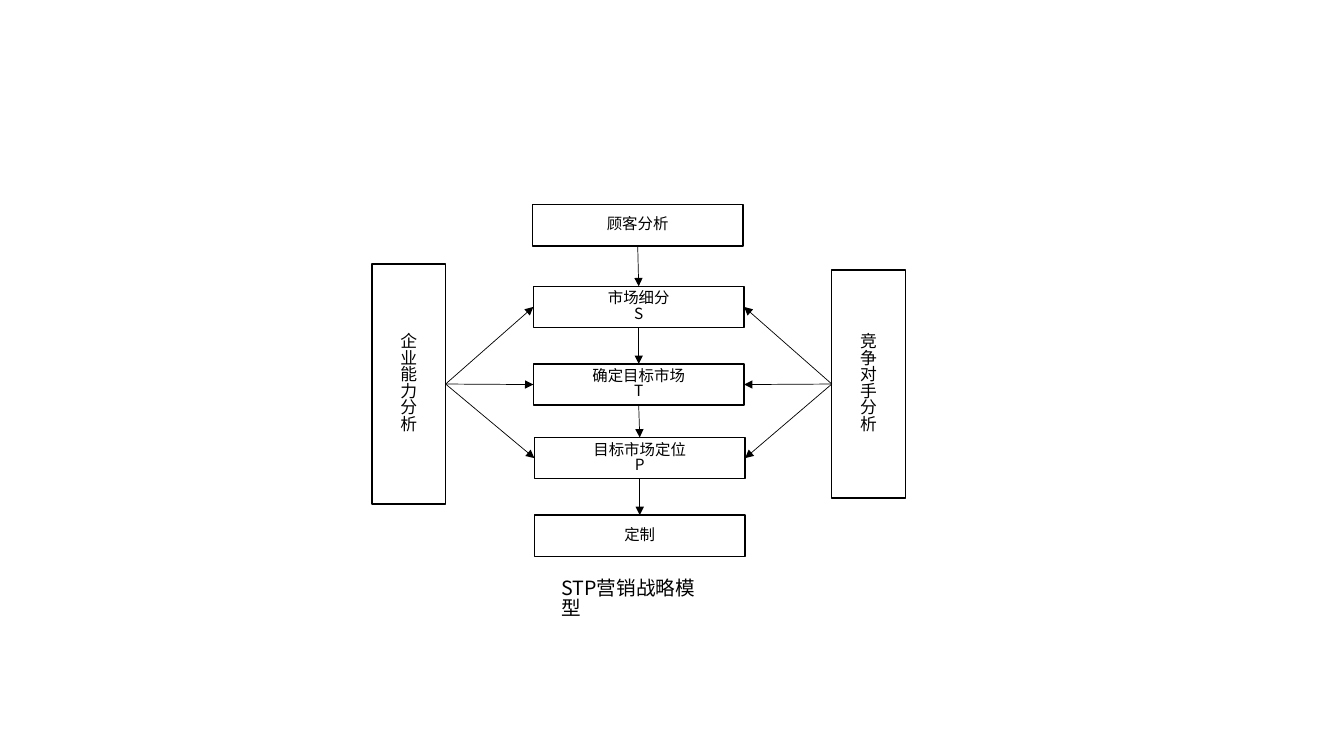
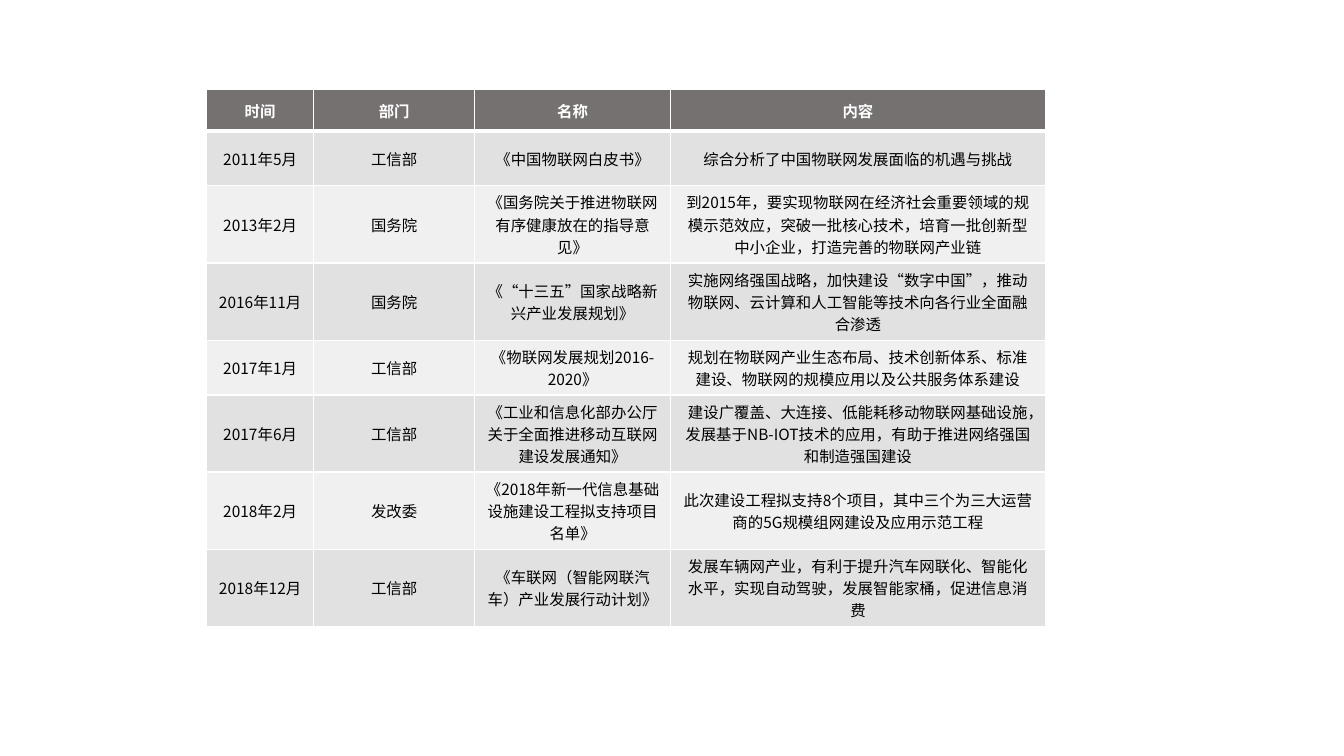
from dataclasses import dataclass

from lxml import etree
from pptx import Presentation
from pptx.dml.color import RGBColor
from pptx.enum.shapes import MSO_CONNECTOR, MSO_SHAPE
from pptx.enum.text import MSO_ANCHOR, PP_ALIGN
from pptx.oxml.ns import qn
from pptx.util import Inches, Pt

BLACK = RGBColor(0x00, 0x00, 0x00)
WHITE = RGBColor(0xFF, 0xFF, 0xFF)
HEADER_GREY = RGBColor(0x76, 0x71, 0x71)
BAND_DARK = RGBColor(0xE1, 0xE1, 0xE1)
BAND_LIGHT = RGBColor(0xF0, 0xF0, 0xF0)

FONT = "Noto Sans CJK SC"
TIGHT = 0.82
BLANK_LAYOUT = 6

RECTANGLE = MSO_SHAPE.RECTANGLE
STRAIGHT = MSO_CONNECTOR.STRAIGHT
CENTER = PP_ALIGN.CENTER
LEFT = PP_ALIGN.LEFT
MIDDLE = MSO_ANCHOR.MIDDLE

TOP_SITE, LEFT_SITE, BOTTOM_SITE, RIGHT_SITE = range(4)


@dataclass(frozen=True)
class Box:
    text: str
    left: float
    top: float
    width: float = 2.09
    height: float = 0.41
    size: float = 11
    inset: float = 0.1


STEPS = [
    Box("顾客分析", 5.28, 2.03),
    Box("市场细分\nS", 5.29, 2.84),
    Box("确定目标市场\nT", 5.29, 3.61),
    Box("目标市场定位\nP", 5.3, 4.34),
    Box("定制", 5.3, 5.11),
]
COMPANY = Box("企业能力分析", 3.69, 2.62, 0.73, 2.38, 12, 0.25)
COMPETITOR = Box("竞争对手分析", 8.25, 2.68, 0.73, 2.26, 12, 0.25)

COLUMN_WIDTHS = [1.06, 1.6, 1.94, 3.72]
ROW_HEIGHT = 0.41
POLICIES = [
    ("时间", "部门", "名称", "内容"),
    ("2011年5月", "工信部", "《中国物联网白皮书》",
     "综合分析了中国物联网发展面临的机遇与挑战"),
    ("2013年2月", "国务院", "《国务院关于推进物联网有序健康放在的指导意见》",
     "到2015年，要实现物联网在经济社会重要领域的规模示范效应，突破一批核心技术，"
     "培育一批创新型中小企业，打造完善的物联网产业链"),
    ("2016年11月", "国务院", "《“十三五”国家战略新兴产业发展规划》",
     "实施网络强国战略，加快建设“数字中国”，推动物联网、云计算和人工智能等技术"
     "向各行业全面融合渗透"),
    ("2017年1月", "工信部", "《物联网发展规划2016-2020》",
     "规划在物联网产业生态布局、技术创新体系、标准建设、物联网的规模应用以及"
     "公共服务体系建设"),
    ("2017年6月", "工信部", "《工业和信息化部办公厅关于全面推进移动互联网建设发展通知》",
     "建设广覆盖、大连接、低能耗移动物联网基础设施，发展基于NB-IOT技术的应用，"
     "有助于推进网络强国和制造强国建设"),
    ("2018年2月", "发改委", "《2018年新一代信息基础设施建设工程拟支持项目名单》",
     "此次建设工程拟支持8个项目，其中三个为三大运营商的5G规模组网建设及应用示范工程"),
    ("2018年12月", "工信部", "《车联网（智能网联汽车）产业发展行动计划》",
     "发展车辆网产业，有利于提升汽车网联化、智能化水平，实现自动驾驶，"
     "发展智能家桶，促进信息消费"),
]


def write_text(tf, text: str, *, size: float = 11, color: RGBColor = BLACK,
               bold: bool = False, align=CENTER, spacing: float = 1.0) -> None:
    tf.text = text
    for p in tf.paragraphs:
        p.alignment = align
        p.line_spacing = spacing
        for r in p.runs:
            r.font.size = Pt(size)
            r.font.bold = bold
            r.font.color.rgb = color
            r.font.name = FONT
            latin = r.font._element.find(qn("a:latin"))
            ea = etree.Element(qn("a:ea"), typeface=FONT)
            latin.addnext(ea)


def add_box(slide, box: Box):
    sp = slide.shapes.add_shape(RECTANGLE, Inches(box.left), Inches(box.top),
                                Inches(box.width), Inches(box.height))
    sp.shadow.inherit = False
    sp.fill.background()
    sp.line.color.rgb = BLACK
    sp.line.width = Pt(1)
    tf = sp.text_frame
    tf.word_wrap = True
    tf.vertical_anchor = MIDDLE
    tf.margin_left = tf.margin_right = Inches(box.inset)
    tf.margin_top = tf.margin_bottom = 0
    write_text(tf, box.text, size=box.size, spacing=TIGHT)
    return sp


def add_arrow(slide, start, start_site: int, end, end_site: int) -> None:
    line = slide.shapes.add_connector(STRAIGHT, 0, 0, 0, 0)
    line.begin_connect(start, start_site)
    line.end_connect(end, end_site)
    line.line.color.rgb = BLACK
    line.line.width = Pt(0.5)
    ln = line.line._get_or_add_ln()
    etree.SubElement(ln, qn("a:tailEnd"), type="triangle")
    etree.SubElement(line._element.spPr, qn("a:effectLst"))


def set_borders(cell, top: float, bottom: float) -> None:
    tc_pr = cell._tc.get_or_add_tcPr()
    for side, width in (("L", 1), ("R", 1), ("T", top), ("B", bottom)):
        ln = etree.SubElement(tc_pr, qn(f"a:ln{side}"), w=str(Pt(width)))
        fill = etree.SubElement(ln, qn("a:solidFill"))
        etree.SubElement(fill, qn("a:srgbClr"), val=str(WHITE))


def build_model_slide(prs) -> None:
    slide = prs.slides.add_slide(prs.slide_layouts[BLANK_LAYOUT])
    company = add_box(slide, COMPANY)
    competitor = add_box(slide, COMPETITOR)
    steps = [add_box(slide, box) for box in STEPS]
    for upper, lower in zip(steps, steps[1:]):
        add_arrow(slide, upper, BOTTOM_SITE, lower, TOP_SITE)
    for step in steps[1:4]:
        add_arrow(slide, company, RIGHT_SITE, step, LEFT_SITE)
        add_arrow(slide, competitor, LEFT_SITE, step, RIGHT_SITE)

    caption = slide.shapes.add_textbox(Inches(5.47), Inches(5.71),
                                       Inches(1.69), Inches(0.34))
    caption.text_frame.word_wrap = True
    write_text(caption.text_frame, "STP营销战略模型", size=14, align=LEFT,
               spacing=TIGHT)


def build_policy_slide(prs) -> None:
    slide = prs.slides.add_slide(prs.slide_layouts[BLANK_LAYOUT])
    table = slide.shapes.add_table(
        len(POLICIES), len(COLUMN_WIDTHS), Inches(2.05), Inches(0.89),
        Inches(sum(COLUMN_WIDTHS)), Inches(ROW_HEIGHT * len(POLICIES))).table
    for column, width in zip(table.columns, COLUMN_WIDTHS):
        column.width = Inches(width)
    for i, policy in enumerate(POLICIES):
        table.rows[i].height = Inches(ROW_HEIGHT)
        header = i == 0
        band = BAND_DARK if i % 2 else BAND_LIGHT
        for j, text in enumerate(policy):
            cell = table.cell(i, j)
            cell.vertical_anchor = MIDDLE
            set_borders(cell, top=3 if i == 1 else 1, bottom=3 if header else 1)
            cell.fill.solid()
            cell.fill.fore_color.rgb = HEADER_GREY if header else band
            write_text(cell.text_frame, text, bold=header,
                       color=WHITE if header else BLACK)


def main() -> None:
    prs = Presentation()
    prs.slide_width = Inches(13.33)
    prs.slide_height = Inches(7.5)
    build_model_slide(prs)
    build_policy_slide(prs)
    prs.save("out.pptx")


if __name__ == "__main__":
    main()
